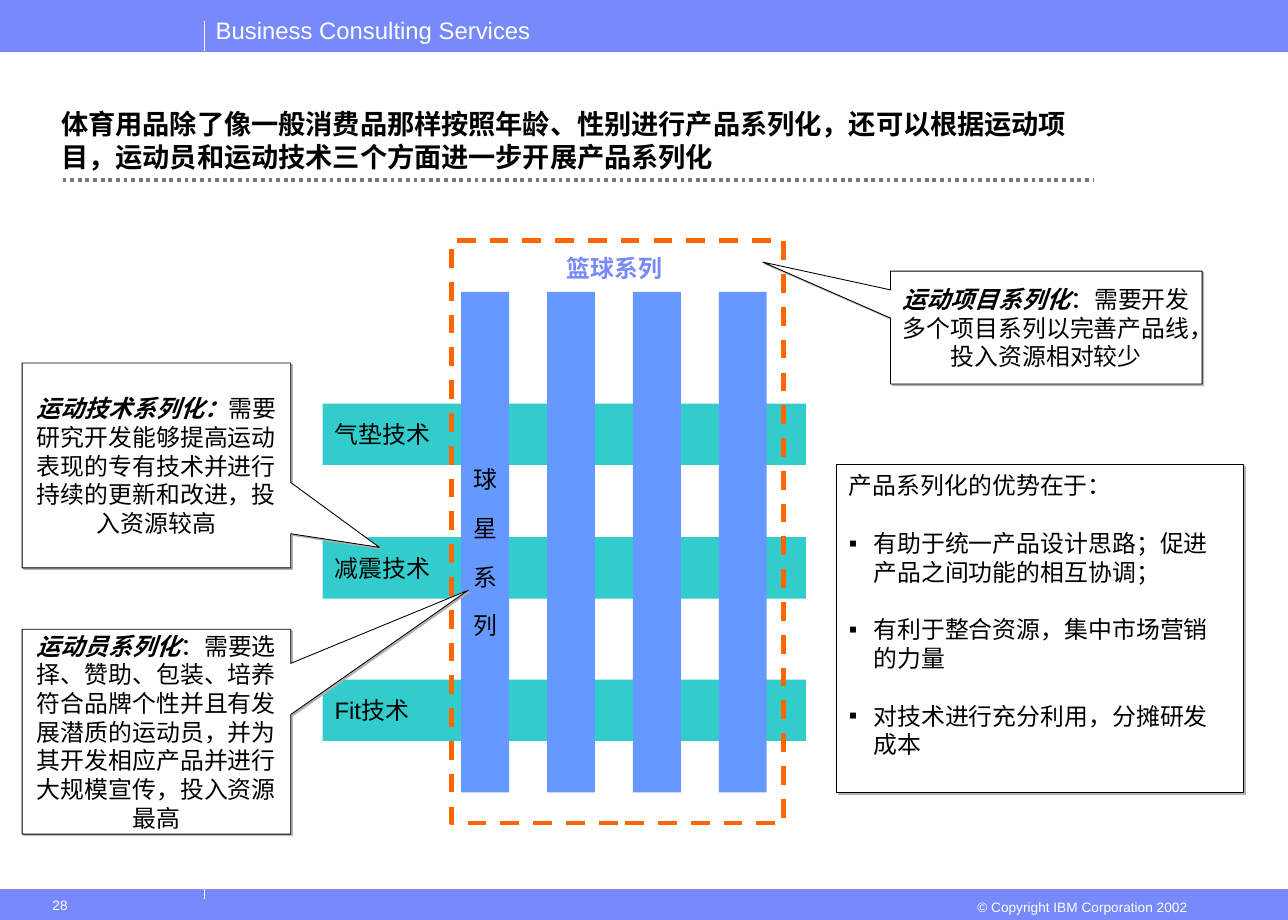
from dataclasses import dataclass

from lxml import etree
from pptx import Presentation
from pptx import util as u
from pptx.dml.color import RGBColor
from pptx.enum import dml, shapes, text
from pptx.oxml.ns import qn

COLUMNS, ROWS = 105, 75
CELL = u.Inches(10.5) / COLUMNS


@dataclass(frozen=True)
class Theme:
    font: str = "Arial"
    band: str = "7889FB"
    technology: str = "33CCCC"
    athlete: str = "6699FF"
    frame: str = "FF6600"
    rule: str = "777777"
    shadow: str = "B2B2B2"
    ink: str = "000000"
    paper: str = "FFFFFF"
    title: int = 16
    body: int = 14
    footer: int = 8


THEME = Theme()
LEFT, CENTER, RIGHT = text.PP_ALIGN.LEFT, text.PP_ALIGN.CENTER, text.PP_ALIGN.RIGHT
RECTANGLE = shapes.MSO_SHAPE.RECTANGLE


def grid(*cells):
    return [u.Emu(round(cell * CELL)) for cell in cells]


def color(value):
    return RGBColor.from_string(value)


def style(paragraph, size=THEME.body, ink=THEME.ink, align=LEFT, bold=False):
    paragraph.alignment = align
    font = paragraph.font
    font.name, font.size, font.bold = THEME.font, u.Pt(size), bold
    font.color.rgb = color(ink)


def paint(shape, fill=None, line=None, weight=0.75):
    shape.shadow.inherit = False
    if fill:
        shape.fill.solid()
        shape.fill.fore_color.rgb = color(fill)
    else:
        shape.fill.background()
    if line:
        shape.line.color.rgb = color(line)
        shape.line.width = u.Pt(weight)
    else:
        shape.line.fill.background()


def add_box(slide, area, fill=None, line=None, weight=0.75, preset=RECTANGLE):
    shape = slide.shapes.add_shape(preset, *grid(*area))
    paint(shape, fill, line, weight)
    return shape


def make_note(shape):
    """Give a shape the white fill, thin outline and hard shadow of a note."""
    paint(shape, THEME.paper, THEME.ink, 0.5)
    effects = shape._element.spPr.find(qn("a:effectLst"))
    shadow = etree.SubElement(effects, qn("a:outerShdw"), blurRad="0",
                              dist=str(u.Pt(1.4)), dir=str(45 * 60000), algn="ctr")
    etree.SubElement(shadow, qn("a:srgbClr"), val=THEME.shadow)


def add_line(slide, start, end, ink, weight=0.75, dash=None):
    line = slide.shapes.add_connector(shapes.MSO_CONNECTOR.STRAIGHT, *grid(*start, *end))
    line.line.color.rgb = color(ink)
    line.line.width = u.Pt(weight)
    line.line.dash_style = dash
    etree.SubElement(line._element.spPr, qn("a:effectLst"))


def add_label(slide, area, words, wrap=False, **look):
    frame = slide.shapes.add_textbox(*grid(*area)).text_frame
    frame.word_wrap = wrap
    frame.text = words
    style(frame.paragraphs[0], **look)


def write_in_bar(bar, lines, align=LEFT, spacing=1.0):
    frame = bar.text_frame
    frame.word_wrap = False
    frame.vertical_anchor = text.MSO_ANCHOR.MIDDLE
    frame.text = "\n".join(lines)
    for paragraph in frame.paragraphs:
        paragraph.line_spacing = spacing
        style(paragraph, align=align)


def add_callout(slide, area, tip, heading, detail):
    callout = add_box(slide, area, preset=shapes.MSO_SHAPE.RECTANGULAR_CALLOUT)
    make_note(callout)
    callout.adjustments[0], callout.adjustments[1] = tip
    frame = callout.text_frame
    frame.word_wrap = True
    frame.vertical_anchor = text.MSO_ANCHOR.MIDDLE
    paragraph = frame.paragraphs[0]
    style(paragraph, align=CENTER)
    lead = paragraph.add_run()
    lead.text = heading
    lead.font.bold = lead.font.italic = True
    paragraph.add_run().text = detail


def set_bullet(paragraph, mark):
    properties = paragraph._p.get_or_add_pPr()
    indent = u.Inches(0.2)
    properties.set("marL", str(indent))
    properties.set("indent", str(-indent))
    if not mark:
        etree.SubElement(properties, qn("a:buNone"))
        return
    bullet_color = etree.SubElement(properties, qn("a:buClr"))
    etree.SubElement(bullet_color, qn("a:srgbClr"), val=THEME.ink)
    etree.SubElement(properties, qn("a:buFont"), typeface=THEME.font)
    etree.SubElement(properties, qn("a:buChar"), char=mark)


def place(placeholder, area, words, anchor):
    placeholder.left, placeholder.top, placeholder.width, placeholder.height = grid(*area)
    frame = placeholder.text_frame
    frame.text = words
    frame.word_wrap = True
    frame.auto_size = text.MSO_AUTO_SIZE.NONE
    frame.vertical_anchor = anchor
    return frame.paragraphs


def add_bands(slide):
    for top, height in ((0, 4.2), (72.5, 2.5)):
        add_box(slide, (0, top, COLUMNS, height), THEME.band, THEME.band)
    for top in (1.7, 70.8):
        add_line(slide, (16.7, top), (16.7, top + 2.5), THEME.paper)
    add_label(slide, (16.6, 0.8, 27.7, 3.4), "Business Consulting Services", ink=THEME.paper)
    add_label(slide, (78.3, 72.8, 19.5, 2.4), "© Copyright IBM Corporation 2002", wrap=True,
              size=THEME.footer, ink=THEME.paper, align=RIGHT)
    add_label(slide, (3.3, 72.6, 13.3, 2.4), "28", size=THEME.footer, ink=THEME.paper)


def add_title(slide):
    words = ("体育用品除了像一般消费品那样按照年龄、性别进行产品系列化，还可以根据运动项目，"
             "运动员和运动技术三个方面进一步开展产品系列化")
    paragraphs = place(slide.shapes.title, (4, 6.6, 85, 8), words, text.MSO_ANCHOR.BOTTOM)
    style(paragraphs[0], size=THEME.title, bold=True)
    add_line(slide, (5.1, 14.7), (89.2, 14.7), THEME.rule, 2.25, dml.MSO_LINE.ROUND_DOT)


def add_advantages(slide):
    lines = ("产品系列化的优势在于：",
             "有助于统一产品设计思路；促进产品之间功能的相互协调；",
             "有利于整合资源，集中市场营销的力量",
             "对技术进行充分利用，分摊研发成本")
    body = slide.placeholders[1]
    paragraphs = place(body, (68.2, 37.9, 33.2, 26.7), "\n".join(lines), text.MSO_ANCHOR.TOP)
    make_note(body)
    for index, paragraph in enumerate(paragraphs):
        paragraph.space_before = u.Pt(17 if index else 0)
        set_bullet(paragraph, "▪" if index else None)
        style(paragraph)


def add_weave(slide):
    """Cross the technology bars with the athlete columns of one sport."""
    for top, name in ((32.9, "气垫技术"), (43.8, "减震技术"), (55.4, "Fit技术")):
        write_in_bar(add_box(slide, (26.3, top, 39.4, 5), THEME.technology), [name])
    frame = add_box(slide, (36.8, 19.6, 27.1, 47.5), line=THEME.frame, weight=2.75)
    frame.line.dash_style = dml.MSO_LINE.DASH
    columns = [add_box(slide, (37.6 + 7 * index, 23.8, 3.9, 40.8), THEME.athlete)
               for index in range(4)]
    write_in_bar(columns[0], "球星系列", CENTER, 1.7)
    add_label(slide, (45.2, 20.2, 9.8, 3.4), "篮球系列", ink=THEME.band, align=CENTER, bold=True)


def add_callouts(slide):
    add_callout(slide, (72.6, 22.1, 25.4, 9.2), (-0.91, -0.58), "运动项目系列化",
                "：需要开发多个项目系列以完善产品线，投入资源相对较少")
    add_callout(slide, (1.8, 51.3, 21.9, 16.7), (1.16, -0.69), "运动员系列化",
                "：需要选择、赞助、包装、培养符合品牌个性并且有发展潜质的运动员，"
                "并为其开发相应产品并进行大规模宣传，投入资源最高")
    add_callout(slide, (1.8, 29.6, 21.9, 16.7), (0.83, 0.4), "运动技术系列化：",
                "需要研究开发能够提高运动表现的专有技术并进行持续的更新和改进，投入资源较高")


def main():
    presentation = Presentation()
    presentation.slide_width, presentation.slide_height = grid(COLUMNS, ROWS)
    slide = presentation.slides.add_slide(presentation.slide_layouts[1])
    add_bands(slide)
    add_title(slide)
    add_weave(slide)
    add_callouts(slide)
    add_advantages(slide)
    presentation.save("out.pptx")


if __name__ == "__main__":
    main()
